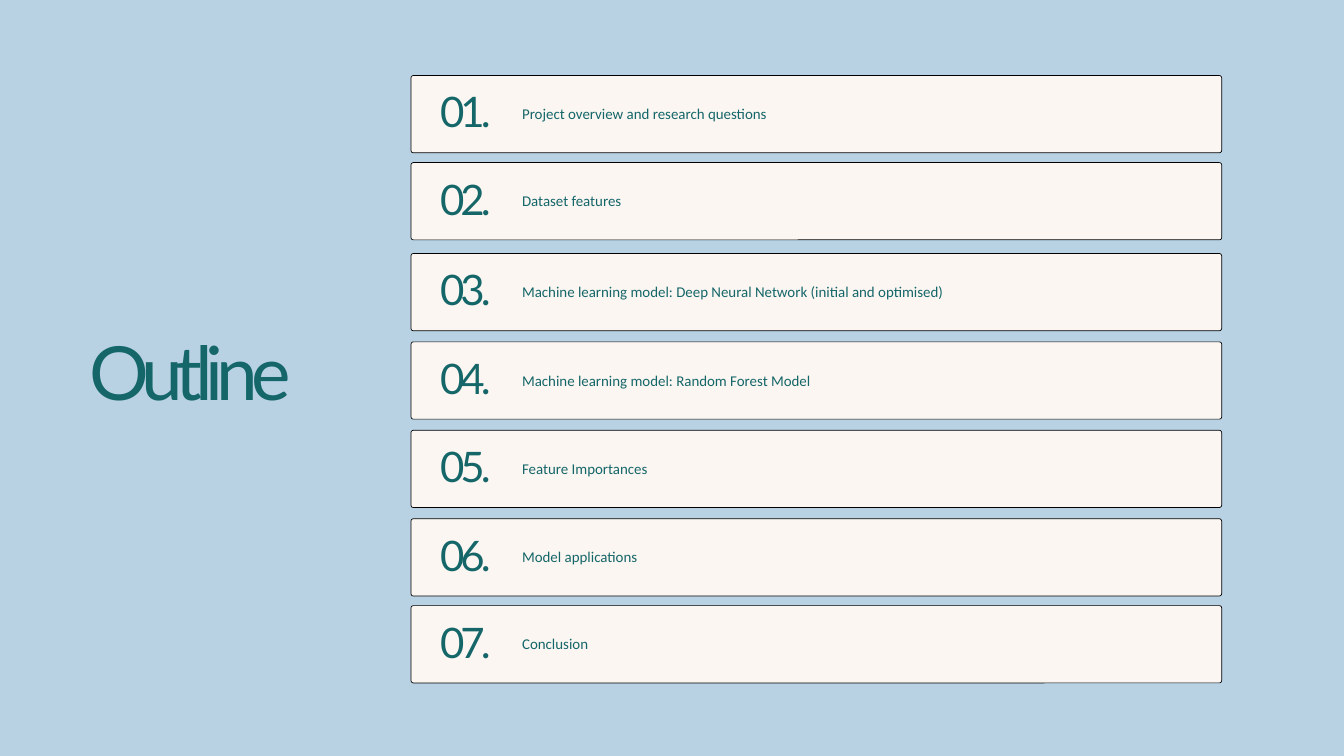
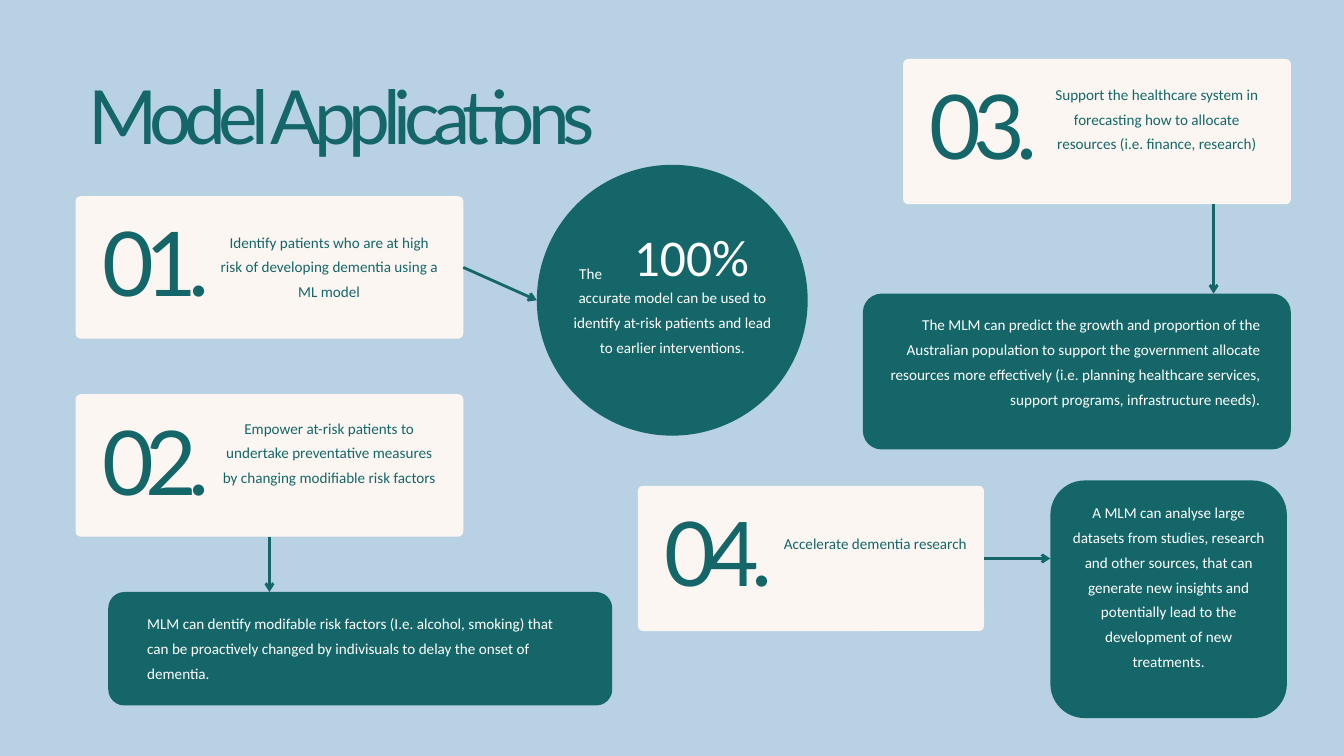
import dataclasses

import pptx
import pptx.dml.color
import pptx.enum.shapes
import pptx.enum.text
import pptx.oxml
import pptx.oxml.ns
import pptx.util

Pt = pptx.util.Pt
RGB = pptx.dml.color.RGBColor.from_string
ALIGN = pptx.enum.text.PP_ALIGN
SHAPE = pptx.enum.shapes.MSO_SHAPE
TOP, LEFT, BOTTOM, RIGHT = range(4)


@dataclasses.dataclass(frozen=True)
class Theme:
    sky: str = "B8D2E4"
    teal: str = "156669"
    cream: str = "FBF6F1"
    white: str = "FFFFFF"
    black: str = "000000"
    display_font: str = "Lato"
    body_font: str = "Calibri"
    title_size: float = 80
    row_number_size: float = 45
    card_number_size: float = 95.6
    row_size: float = 16
    body_size: float = 16.2
    figure_size: float = 55.2
    display_leading: float = 0.96
    display_tracking: float = -0.096
    body_leading: float = 1.635
    figure_leading: float = 1.4


THEME = Theme()

# Outline rows: top edge and label
ROWS = [
    (80.9, "Project overview and research questions"),
    (174.2, "Dataset features"),
    (271.6, "Machine learning model: Deep Neural Network (initial and optimised)"),
    (366.3, "Machine learning model: Random Forest Model"),
    (461, "Feature Importances"),
    (555.8, "Model applications"),
    (648.9, "Conclusion"),
]

# Application cards: box, text offset from the card top, text width and height, text
CARDS = [
    ((81, 210.2, 415.4, 152.6), 32.4, 232.6, 78.5,
     "Identify patients who are at high risk of developing dementia using a ML model"),
    ((81, 422.4, 415.4, 152.6), 19.5, 232.6, 104.4,
     "Empower at-risk patients to undertake preventative measures by changing "
     "modifiable risk factors"),
    ((967.7, 63.2, 415.4, 155.6), 21, 232.6, 104.4,
     "Support the healthcare system in forecasting how to allocate resources "
     "(i.e. finance, research)"),
    ((683.5, 520.6, 370.8, 155.5), 45.4, 198, 52.6,
     "Accelerate dementia research"),
]

# Outcome panels: box, corner radius, text box, alignment, text
PANELS = [
    ((116, 634.3, 540, 121.6), 17.3, (157.7, 651.6, 455, 80), ALIGN.LEFT,
     "MLM can dentify modifable risk factors (I.e. alcohol, smoking) that can be "
     "proactively changed by indivisuals to delay the onset of dementia."),
    ((924.5, 314.6, 458.6, 167), 20.2, (948.2, 331.2, 401.8, 132.5), ALIGN.RIGHT,
     "The MLM can predict the growth and proportion of the Australian population to "
     "support the government allocate resources more effectively (i.e. planning "
     "healthcare services, support programs, infrastructure needs)."),
    ((1125.4, 514.8, 253.4, 254.6), 36.7, (1144.1, 532.8, 216, 211), ALIGN.CENTER,
     "A MLM can analyse large datasets from studies, research and other sources, "
     "that can generate new insights and potentially lead to the development of "
     "new treatments."),
]


def to_points(box):
    return [Pt(v) for v in box]


def write(sp, text, size=THEME.body_size, font=THEME.body_font, color=THEME.teal,
          align=ALIGN.LEFT, leading=THEME.body_leading, tracking=0):
    """Set one paragraph; leading and tracking are multiples of the type size."""
    tf = sp.text_frame
    tf.word_wrap = True
    tf.auto_size = pptx.enum.text.MSO_AUTO_SIZE.NONE
    tf.vertical_anchor = pptx.enum.text.MSO_ANCHOR.TOP
    tf.margin_left = tf.margin_right = tf.margin_top = tf.margin_bottom = 0
    p = tf.paragraphs[0]
    p.alignment = align
    p.line_spacing = Pt(round(size * leading, 1))
    r = p.add_run()
    r.text = text
    r.font.size = Pt(size)
    r.font.name = font
    r.font.color.rgb = RGB(color)
    if tracking:
        r.font._element.set("spc", str(round(size * tracking, 1) * 100).split(".")[0])


def write_display(sp, text, size, align=ALIGN.LEFT):
    write(sp, text, size=size, font=THEME.display_font, align=align,
          leading=THEME.display_leading, tracking=THEME.display_tracking)


def add_text(slide, box, text, **fmt):
    write(slide.shapes.add_textbox(*to_points(box)), text, **fmt)


def add_number(slide, box, number, size, align=ALIGN.LEFT):
    sp = slide.shapes.add_textbox(*to_points(box))
    write_display(sp, f"{number:02d}.", size, align)


def add_box(slide, box, fill, radius=None, outline=None):
    """Add a rounded rectangle, or an ellipse when no radius is given."""
    kind = SHAPE.OVAL if radius is None else SHAPE.ROUNDED_RECTANGLE
    sp = slide.shapes.add_shape(kind, *to_points(box))
    if radius is not None:
        sp.adjustments[0] = radius / min(box[2:])
    sp.shadow.inherit = False
    sp.fill.solid()
    sp.fill.fore_color.rgb = RGB(fill)
    if outline:
        sp.line.color.rgb = RGB(outline)
        sp.line.width = Pt(0.75)
    else:
        sp.line.fill.background()
    return sp


def add_arrow(slide, card, side, start, end):
    """Draw an arrow; it is joined to the card when a side is given."""
    cx = slide.shapes.add_connector(
        pptx.enum.shapes.MSO_CONNECTOR.STRAIGHT, *to_points(start + end))
    cx.line.color.rgb = RGB(THEME.teal)
    cx.line.width = Pt(3)
    ln = cx.line._get_or_add_ln()
    head = pptx.oxml.parse_xml(
        f'<a:tailEnd {pptx.oxml.ns.nsdecls("a")} type="arrow"/>')
    ln.append(head)
    cx._element.spPr.append(
        pptx.oxml.parse_xml(f'<a:effectLst {pptx.oxml.ns.nsdecls("a")}/>'))
    if side is not None:
        cx.begin_connect(card, side)


def new_slide(prs, title, box):
    slide = prs.slides.add_slide(prs.slide_layouts[5])
    slide.background.fill.solid()
    slide.background.fill.fore_color.rgb = RGB(THEME.sky)
    sp = slide.shapes.title
    sp.left, sp.top, sp.width, sp.height = to_points(box)
    write_display(sp, title, THEME.title_size)
    return slide


def add_row(slide, number, top, label):
    add_box(slide, (440.4, top, 868.6, 82.8), THEME.cream, 2.5, THEME.black)
    add_number(slide, (471.6, top + 22, 144, 46), number, THEME.row_number_size)
    add_text(slide, (559.4, top + 24.4, 610, 26.6), label, size=THEME.row_size)


def add_card(slide, number, box, offset, width, height, text):
    left, top = box[:2]
    card = add_box(slide, box, THEME.cream, 5.4)
    add_number(slide, (left + 17.5, top + 35.3, 137.5, 97.2), number,
               THEME.card_number_size, ALIGN.CENTER)
    add_text(slide, (left + 155.3, top + offset, width, height), text,
             align=ALIGN.CENTER)
    return card


def add_panel(slide, box, radius, text_box, align, text):
    add_box(slide, box, THEME.teal, radius)
    add_text(slide, text_box, text, color=THEME.white, align=align)


def build_outline(prs):
    slide = new_slide(prs, "Outline", (95.8, 368.6, 260.6, 82))
    for number, (top, label) in enumerate(ROWS, 1):
        add_row(slide, number, top, label)


def build_applications(prs):
    slide = new_slide(prs, "Model Applications", (94.3, 94.3, 722.9, 82))

    # Cards and the panels they lead to
    cards = [add_card(slide, n, *card) for n, card in enumerate(CARDS, 1)]
    for panel in PANELS:
        add_panel(slide, *panel)

    # Circle with the accuracy figure
    add_box(slide, (575.2, 176.6, 290.2, 290.2), THEME.teal)
    add_text(slide, (620.6, 275.8, 34.6, 27.4), "The", color=THEME.white)
    add_text(slide, (655.9, 229.7, 169.9, 87.1), "100%", size=THEME.figure_size,
             color=THEME.white, align=ALIGN.CENTER, leading=THEME.figure_leading)
    add_text(slide, (612.7, 302.4, 215.3, 106.6),
             "accurate model can be used to identify at-risk patients and lead to "
             "earlier interventions.", color=THEME.white, align=ALIGN.CENTER)

    # Arrows from each card
    add_arrow(slide, cards[0], RIGHT, (496.4, 286.5), (575.2, 321.7))
    add_arrow(slide, cards[1], BOTTOM, (288.7, 575), (288.7, 634.3))
    add_arrow(slide, cards[2], None, (1300.3, 218.8), (1300.3, 314.6))
    add_arrow(slide, cards[3], RIGHT, (1054.3, 598.35), (1125.4, 598.35))


def main():
    prs = pptx.Presentation()
    prs.slide_width, prs.slide_height = Pt(1440), Pt(810)
    build_outline(prs)
    build_applications(prs)
    prs.save("out.pptx")


if __name__ == "__main__":
    main()
